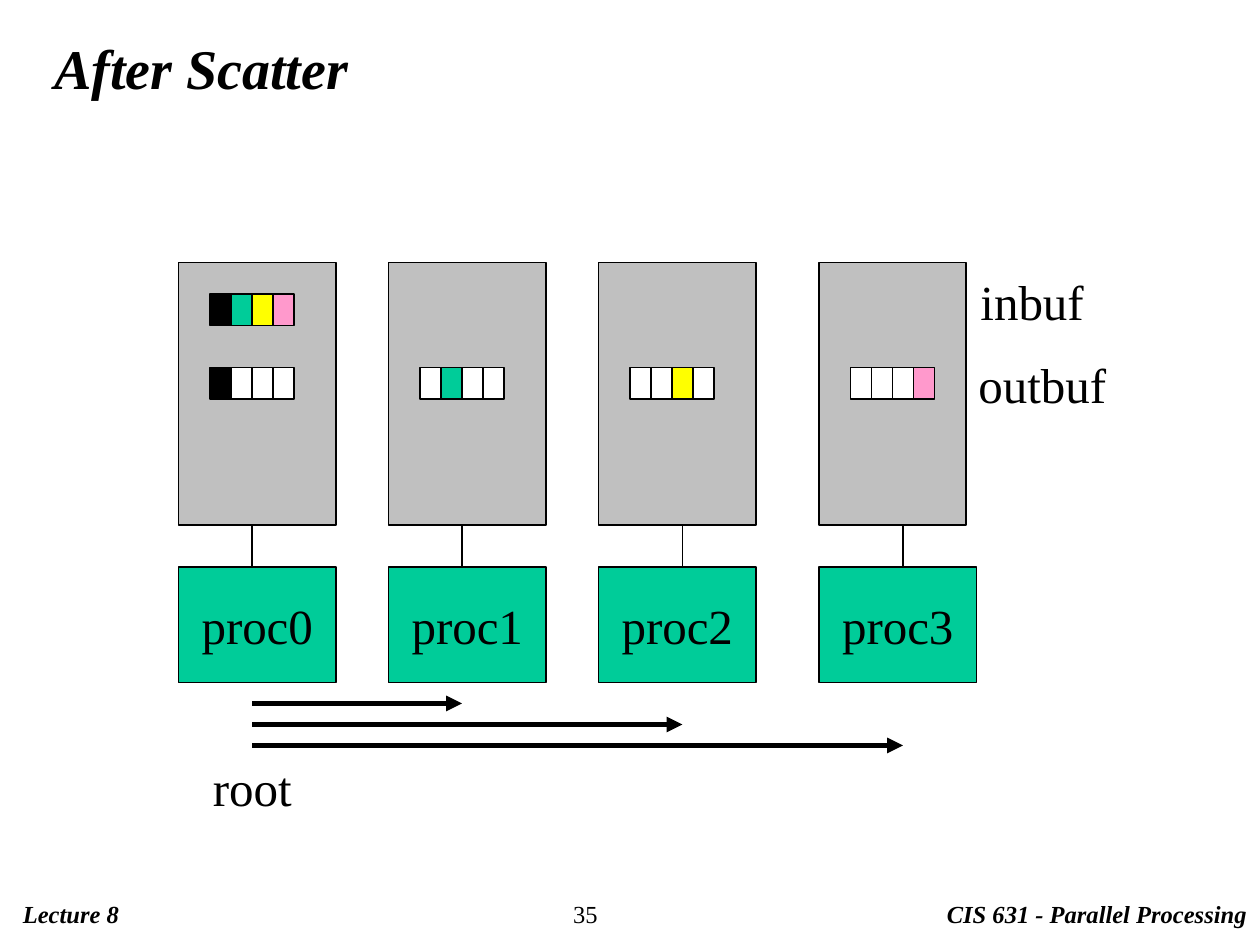
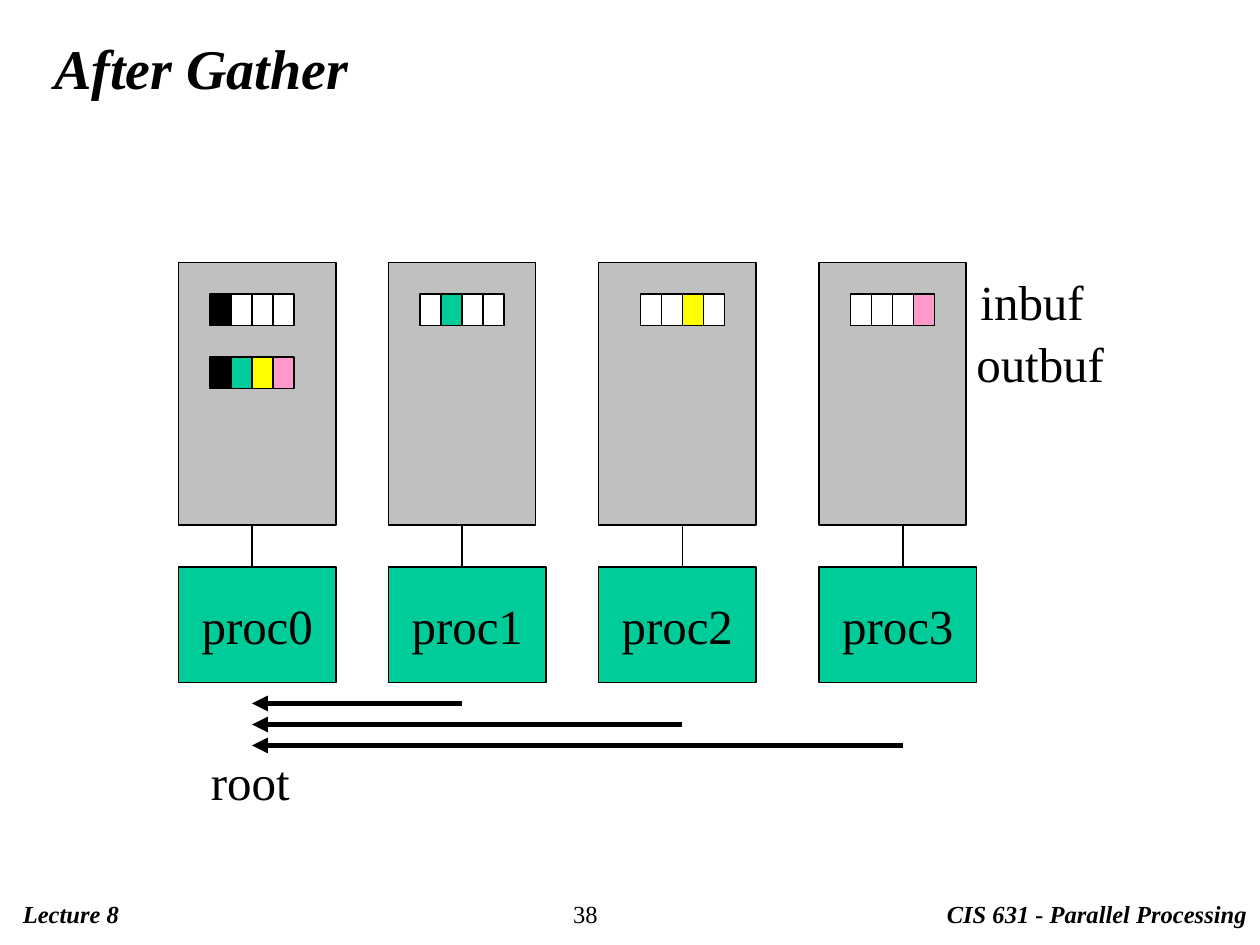
from dataclasses import dataclass

from lxml.etree import SubElement
from pptx import Presentation
from pptx.dml.color import RGBColor as Color
from pptx.enum.shapes import MSO_CONNECTOR as Wire, MSO_SHAPE as Shape
from pptx.enum.text import MSO_ANCHOR as Anchor, PP_ALIGN as Align
from pptx.oxml.ns import qn
from pptx.util import Inches, Pt


@dataclass(frozen=True)
class Theme:
    font: str = "Times New Roman"
    ink: str = "000000"
    panel: str = "C0C0C0"
    green: str = "00CC99"
    yellow: str = "FFFF00"
    pink: str = "FF99CC"
    white: str = "FFFFFF"
    title: int = 32
    label: int = 28
    footer: int = 14
    thin: float = 0.75
    thick: float = 3


THEME = Theme()
FILLS = {"k": THEME.ink, "g": THEME.green, "y": THEME.yellow,
         "p": THEME.pink, "w": THEME.white}

# The slide is a grid of 120 columns by 90 rows.
WIDTH, HEIGHT = Inches(10), Inches(7.5)
COLS, ROWS = 120, 90

LEFTS = (17, 37, 57, 78)      # left edge of each process
WIRES = (24, 44, 65, 86)      # centre line of each process
MEM_TOP, MEM_ROWS = 25, 25
PROC_TOP, PROC_COLS, PROC_ROWS = 54, 15, 11
CELL_COLS, CELL_ROWS = 2, 3
ARROW_TOP, ARROW_STEP = 67, 2


@dataclass(frozen=True)
class Box:
    col: float
    row: float
    cols: float
    rows: float

    def place(self) -> tuple[int, int, int, int]:
        return (over(self.col), down(self.row),
                over(self.cols), down(self.rows))


@dataclass(frozen=True)
class Label:
    text: str
    box: Box
    size: int = THEME.label
    strong: bool = False
    anchor: Anchor = Anchor.TOP


@dataclass(frozen=True)
class Buffer:
    """A row of cells, one letter of FILLS for each."""
    col: int
    row: int
    fills: str


@dataclass(frozen=True)
class Scene:
    title: str
    page: int
    widths: tuple[int, ...]
    buffers: tuple[Buffer, ...]
    labels: tuple[Label, ...]
    inward: bool


FOOTERS = (
    Label("CIS 631 - Parallel Processing", Box(89, 85, 31, 4),
          THEME.footer, True),
    Label("Lecture 8", Box(1, 85, 50, 4), THEME.footer, True),
)
INBUF = Label("inbuf", Box(92.2, 25.3, 12.2, 6.8))

SCENES = (
    Scene("After Scatter", 35, (15, 15, 15, 14),
          (Buffer(20, 28, "kgyp"), Buffer(20, 35, "kwww"),
           Buffer(40, 35, "wgww"), Buffer(60, 35, "wwyw"),
           Buffer(81, 35, "wwwp")),
          (INBUF, Label("outbuf", Box(92, 33.2, 14.5, 6.8)),
           Label("root", Box(19.1, 71.6, 9.8, 6.8))), False),
    Scene("After Gather", 38, (15, 14, 15, 14),
          (Buffer(20, 28, "kwww"), Buffer(40, 28, "wgww"),
           Buffer(61, 28, "wwyw"), Buffer(81, 28, "wwwp"),
           Buffer(20, 34, "kgyp")),
          (INBUF, Label("outbuf", Box(91.8, 31.2, 14.5, 6.8)),
           Label("root", Box(18.9, 71, 9.8, 6.8))), True),
)


def over(cols: float) -> int:
    return round(WIDTH * cols / COLS)


def down(rows: float) -> int:
    return round(HEIGHT * rows / ROWS)


def add_run(para, text: str, size: int, strong: bool = False) -> None:
    run = para.add_run()
    run.text = text
    font = run.font
    font.name, font.size = THEME.font, Pt(size)
    font.bold = font.italic = strong
    font.color.rgb = Color.from_string(THEME.ink)


def add_label(slide, label: Label) -> None:
    frame = slide.shapes.add_textbox(*label.box.place()).text_frame
    frame.word_wrap = True
    frame.margin_right = 0
    frame.vertical_anchor = label.anchor
    add_run(frame.paragraphs[0], label.text, label.size, label.strong)


def add_box(slide, box: Box, fill: str, text: str = "") -> None:
    shape = slide.shapes.add_shape(Shape.RECTANGLE, *box.place())
    shape.shadow.inherit = False
    shape.fill.solid()
    shape.fill.fore_color.rgb = Color.from_string(fill)
    shape.line.color.rgb = Color.from_string(THEME.ink)
    shape.line.width = Pt(THEME.thin)
    if text:
        frame = shape.text_frame
        frame.word_wrap = False
        frame.vertical_anchor = Anchor.MIDDLE
        para = frame.paragraphs[0]
        para.alignment = Align.CENTER
        add_run(para, text, THEME.label)


def add_line(slide, start: tuple[int, int], end: tuple[int, int],
             width: float, arrow: bool = False) -> None:
    line = slide.shapes.add_connector(
        Wire.STRAIGHT, over(start[0]), down(start[1]),
        over(end[0]), down(end[1]))
    line.line.color.rgb = Color.from_string(THEME.ink)
    line.line.width = Pt(width)
    if arrow:
        SubElement(line.line._get_or_add_ln(), qn("a:tailEnd"),
                   type="triangle")
    SubElement(line._element.spPr, qn("a:effectLst"))


def add_nodes(slide, widths: tuple[int, ...]) -> None:
    """Draw each process with its memory above and the wire between."""
    for rank, (left, wire, cols) in enumerate(zip(LEFTS, WIRES, widths)):
        add_box(slide, Box(left, PROC_TOP, PROC_COLS, PROC_ROWS),
                THEME.green, f"proc{rank}")
        add_box(slide, Box(left, MEM_TOP, cols, MEM_ROWS), THEME.panel)
        add_line(slide, (wire, MEM_TOP + MEM_ROWS), (wire, PROC_TOP),
                 THEME.thin)


def add_buffer(slide, buffer: Buffer) -> None:
    for index, key in enumerate(buffer.fills):
        col = buffer.col + index * CELL_COLS
        add_box(slide, Box(col, buffer.row, CELL_COLS, CELL_ROWS), FILLS[key])


def add_arrows(slide, inward: bool) -> None:
    """Link the root to every other process, one row for each."""
    root, *others = WIRES
    for index, other in enumerate(others):
        row = ARROW_TOP + index * ARROW_STEP
        start, end = (other, root) if inward else (root, other)
        add_line(slide, (start, row), (end, row), THEME.thick, True)


def add_scene(deck, scene: Scene) -> None:
    slide = deck.slides.add_slide(deck.slide_layouts[6])
    page = Label(str(scene.page), Box(53.4, 85, 12, 4), THEME.footer)
    title = Label(scene.title, Box(4, 3.4, 113, 6), THEME.title, True,
                  Anchor.MIDDLE)
    for label in (*FOOTERS, page, title):
        add_label(slide, label)
    add_nodes(slide, scene.widths)
    for buffer in scene.buffers:
        add_buffer(slide, buffer)
    add_arrows(slide, scene.inward)
    for label in scene.labels:
        add_label(slide, label)


def main() -> None:
    deck = Presentation()
    deck.slide_width, deck.slide_height = WIDTH, HEIGHT
    for scene in SCENES:
        add_scene(deck, scene)
    deck.save("out.pptx")


if __name__ == "__main__":
    main()
